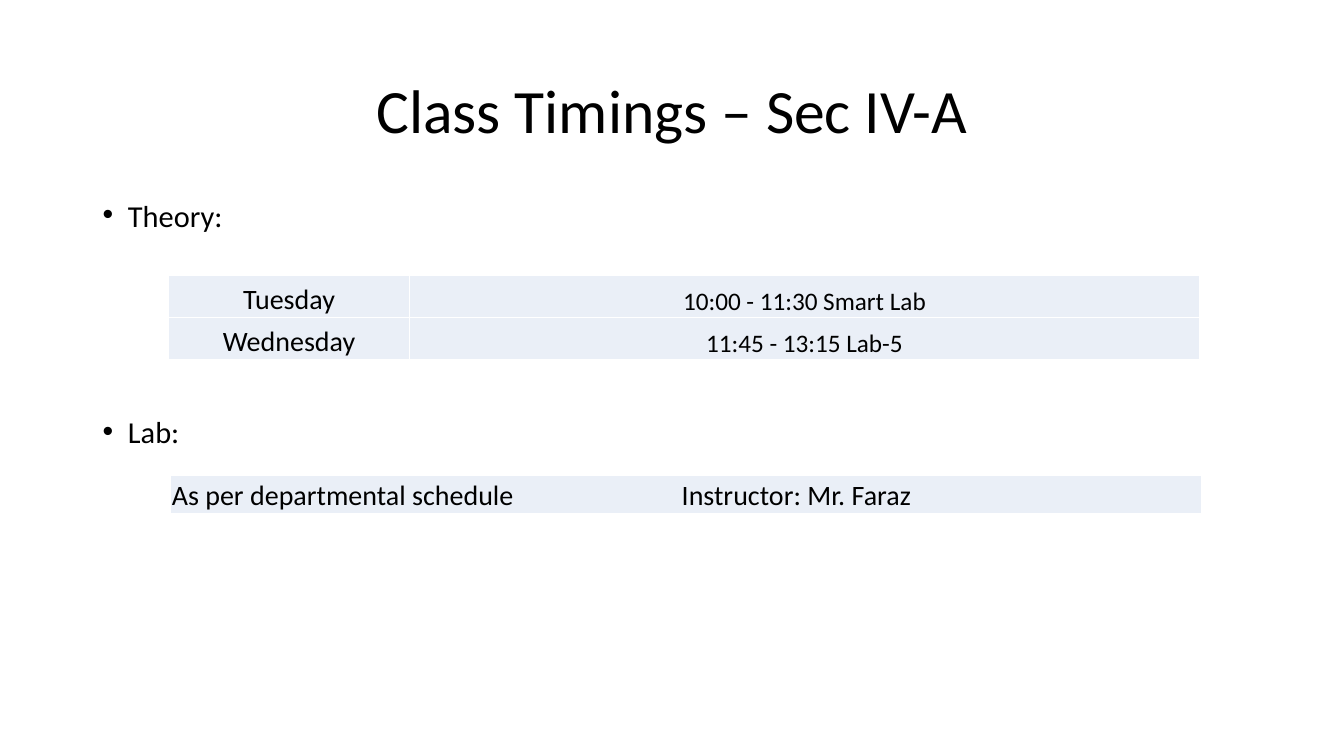
from lxml import etree
from pptx import Presentation
from pptx import util as u
from pptx.dml.color import RGBColor
from pptx.enum import text
from pptx.oxml import parse_xml
from pptx.oxml.ns import nsdecls, qn

BLACK, WHITE, PALE_BLUE = "000000", "FFFFFF", "EAEFF7"
CENTER = text.PP_ALIGN.CENTER
LEFT = text.PP_ALIGN.LEFT


def rgb(hex_colour):
    """Turn a hex string into a colour."""
    return RGBColor.from_string(hex_colour)


def apply(target, values):
    """Set each attribute in values on target."""
    for name, value in values.items():
        setattr(target, name, value)


def write(paragraph, words, size, **layout):
    """Write one formatted run into a paragraph."""
    paragraph.add_run().text = words
    apply(paragraph, layout)
    apply(paragraph.font, {"name": "Calibri", "size": u.Pt(size)})
    paragraph.font.color.rgb = rgb(BLACK)


def fill_placeholder(holder, top, height, anchor):
    """Place a placeholder and return its first paragraph."""
    apply(holder, {"left": u.Cm(2.33), "top": u.Cm(top),
                   "width": u.Cm(29.21), "height": u.Cm(height)})
    apply(holder.text_frame, {"word_wrap": True, "vertical_anchor": anchor,
                              "auto_size": text.MSO_AUTO_SIZE.NONE})
    return holder.text_frame.paragraphs[0]


def add_heading(holder, words, top):
    """Write a bulleted heading in a body placeholder."""
    paragraph = fill_placeholder(holder, top, 1, text.MSO_ANCHOR.TOP)
    properties = paragraph._p.get_or_add_pPr()
    apply_indent = {"marL": u.Cm(0.64), "indent": u.Cm(-0.64)}
    for name, value in apply_indent.items():
        properties.set(name, str(int(value)))
    etree.SubElement(properties, qn("a:buChar"), char="•")
    write(paragraph, words, 21.7, line_spacing=0.7, space_before=u.Pt(0))


def add_borders(cell):
    """Draw white lines on all sides of a cell."""
    properties = cell._tc.get_or_add_tcPr()
    for side in "LRTB":
        properties.append(parse_xml(
            f'<a:ln{side} {nsdecls("a")} w="{int(u.Pt(1))}"><a:solidFill>'
            f'<a:srgbClr val="{WHITE}"/></a:solidFill></a:ln{side}>'))


def add_timetable(slide, left, top, widths, row_height, rows, sizes, align):
    """Add a pale table and return it."""
    table = slide.shapes.add_table(
        len(rows), len(widths), u.Cm(left), u.Cm(top),
        u.Cm(sum(widths)), u.Cm(row_height * len(rows))).table
    apply(table, {"first_row": False, "horz_banding": False})
    for column, width in zip(table.columns, widths):
        column.width = u.Cm(width)
    for row, entries in zip(table.rows, rows):
        row.height = u.Cm(row_height)
        for cell, words, size in zip(row.cells, entries, sizes):
            apply(cell, {"margin_left": u.Cm(0.03), "margin_right": u.Cm(0.03),
                         "margin_top": u.Cm(0.03), "margin_bottom": 0,
                         "vertical_anchor": text.MSO_ANCHOR.BOTTOM})
            add_borders(cell)
            cell.fill.solid()
            cell.fill.fore_color.rgb = rgb(PALE_BLUE)
            write(cell.text_frame.paragraphs[0], words, size, alignment=align)
    return table


def add_tab_stop(paragraph, position):
    """Add a left tab stop to a paragraph."""
    paragraph._p.get_or_add_pPr().insert(0, parse_xml(
        f'<a:tabLst {nsdecls("a")}><a:tab pos="{int(u.Cm(position))}" algn="l"/></a:tabLst>'))


def main():
    """Build the class timings slide."""
    deck = Presentation()
    apply(deck, {"slide_width": u.Cm(33.87), "slide_height": u.Cm(19.05)})
    slide = deck.slides.add_slide(deck.slide_layouts.get_by_name("Two Content"))
    title, theory, lab = list(slide.placeholders)[:3]
    write(fill_placeholder(title, 1.01, 3.68, text.MSO_ANCHOR.MIDDLE),
          "Class Timings – Sec IV-A", 44, alignment=CENTER, line_spacing=0.9)
    add_heading(theory, "Theory:", 5.08)
    add_heading(lab, "Lab:", 10.54)
    add_timetable(slide, 4.25, 6.94, [6.07, 19.91], 1.06,
                  [["Tuesday", "10:00 - 11:30 Smart Lab"],
                   ["Wednesday", "11:45 - 13:15 Lab-5"]], [20, 18], CENTER)
    lab_table = add_timetable(
        slide, 4.3, 11.97, [25.98], 0.96,
        [["As per departmental schedule\tInstructor: Mr. Faraz"]], [20], LEFT)
    add_tab_stop(lab_table.cell(0, 0).text_frame.paragraphs[0], 12.85)
    deck.save("out.pptx")


if __name__ == "__main__":
    main()
